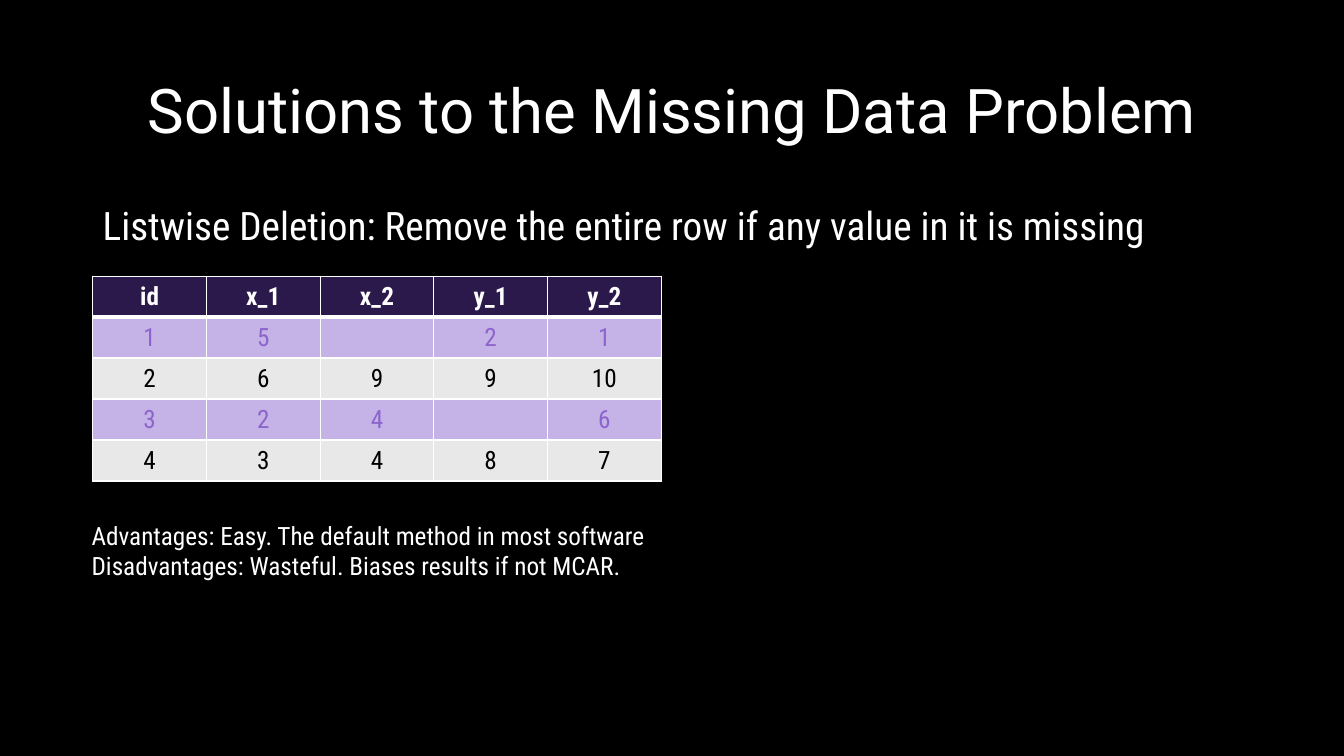
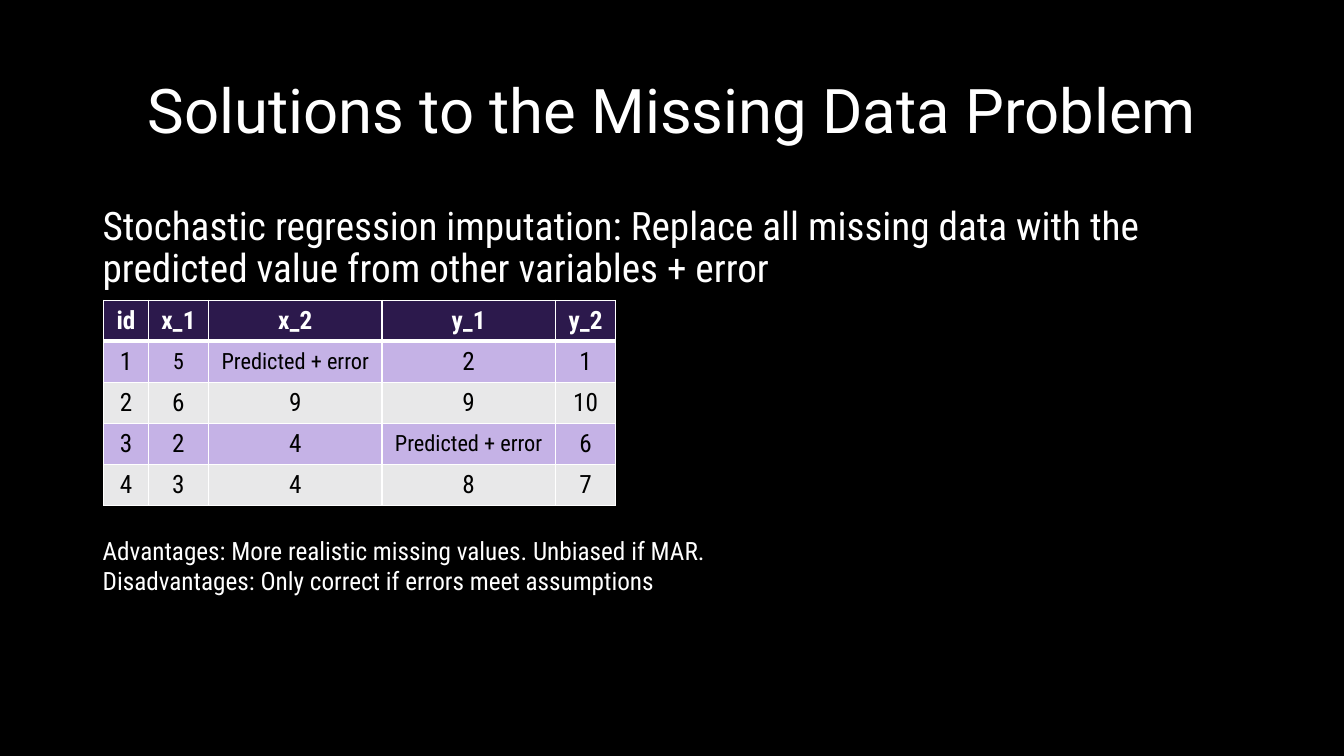
from lxml.etree import SubElement
from pptx import Presentation
from pptx.dml.color import RGBColor
from pptx.enum.text import MSO_ANCHOR, PP_ALIGN
from pptx.oxml.ns import qn
from pptx.util import Inches, Pt

HUES = {"back": "000000", "white": "FFFFFF", "head": "2C194C",
        "odd": "C5B2E6", "even": "E8E8E9", "ink": "000000", "dim": "8C65CC"}
HEAD_FONT, BODY_FONT = "Roboto", "Roboto Condensed"
WIDE, HIGH = Inches(13.33), Inches(7.5)

# Boxes are left, top, width, height in percent of the slide
TITLE = "Solutions to the Missing Data Problem"
TITLE_BOX = (6.9, 5.33, 86.27, 19.33)
LEAD_BOX = (6.9, 26.67, 86.27, 63.47)
ROW = 5.42
NAMES = ["id", "x_1", "x_2", "y_1", "y_2"]


def hue(name):
    return RGBColor.from_string(HUES[name])


def across(share):
    return round(WIDE * share / 100)


def down(share):
    return round(HIGH * share / 100)


def place(box):
    left, top, width, height = box
    return across(left), down(top), across(width), down(height)


def style(para, size, color="white", font=BODY_FONT, bold=False):
    for run in para.runs:
        run.font.name, run.font.size, run.font.bold = font, Pt(size), bold
        run.font.color.rgb = hue(color)


def add_text(slide, box, text, size, font=BODY_FONT, align=PP_ALIGN.LEFT,
             anchor=MSO_ANCHOR.TOP, pitch=1.0):
    frame = slide.shapes.add_textbox(*place(box)).text_frame
    frame.word_wrap = True
    frame.vertical_anchor = anchor
    frame.text = text
    for para in frame.paragraphs:
        para.alignment, para.line_spacing = align, pitch
        style(para, size, font=font)


def add_edge(cell, side, width):
    line = SubElement(cell._tc.get_or_add_tcPr(), qn("a:ln" + side),
                      w=str(Pt(width)))
    fill = SubElement(line, qn("a:solidFill"))
    SubElement(fill, qn("a:srgbClr"), val=HUES["white"])


def fill_cell(cell, row, text, color, size):
    # Borders go in ahead of the fill; a thick rule parts head and data
    thick = {(0, "B"), (1, "T")}
    for side in "LRTB":
        add_edge(cell, side, 3 if (row, side) in thick else 1)
    cell.fill.solid()
    cell.fill.fore_color.rgb = hue("head" if row == 0 else
                                   "odd" if row % 2 else "even")
    cell.vertical_anchor = MSO_ANCHOR.MIDDLE
    cell.text = text
    para = cell.text_frame.paragraphs[0]
    para.alignment = PP_ALIGN.CENTER
    style(para, size, color, bold=row == 0)


def add_grid(slide, spot, cols, data, small=()):
    rows = [NAMES] + data
    box = (*spot, sum(cols), ROW * len(rows))
    table = slide.shapes.add_table(len(rows), len(cols), *place(box)).table
    for col, width in zip(table.columns, cols):
        col.width = across(width)
    for r, values in enumerate(rows):
        table.rows[r].height = down(ROW)
        # Rows with a gap are dimmed
        color = "white" if r == 0 else "ink" if all(values) else "dim"
        for c, text in enumerate(values):
            size = 16 if (r, c) in small else 18
            fill_cell(table.cell(r, c), r, text, color, size)


def add_page(deck, lead, grid, note_box, notes):
    slide = deck.slides.add_slide(deck.slide_layouts[6])
    add_text(slide, TITLE_BOX, TITLE, 44, HEAD_FONT, PP_ALIGN.CENTER,
             MSO_ANCHOR.MIDDLE, 0.9)
    add_text(slide, LEAD_BOX, lead, 28, pitch=0.9)
    add_grid(slide, **grid)
    add_text(slide, note_box, "\n".join(notes), 18)


def get_data(gap):
    return [["1", "5", gap, "2", "1"],
            ["2", "6", "9", "9", "10"],
            ["3", "2", "4", gap, "6"],
            ["4", "3", "4", "8", "7"]]


def main():
    deck = Presentation()
    deck.slide_width, deck.slide_height = WIDE, HIGH
    back = deck.slide_master.background.fill
    back.solid()
    back.fore_color.rgb = hue("back")

    # Listwise deletion
    add_page(
        deck,
        "Listwise Deletion: Remove the entire row if any value in it is missing",
        {"spot": (6.9, 36.53), "cols": [8.46] * 5, "data": get_data("")},
        (6.08, 68.13, 46.8, 9.47),
        ["Advantages: Easy. The default method in most software",
         "Disadvantages: Wasteful. Biases results if not MCAR."])

    # Stochastic regression imputation
    add_page(
        deck,
        "Stochastic regression imputation: Replace all missing data with the "
        "predicted value from other variables + error",
        {"spot": (7.73, 39.73), "cols": [3.3, 4.5, 12.9, 12.9, 4.5],
         "data": get_data("Predicted + error"),
         "small": {(1, 1), (1, 2), (3, 3)}},
        (6.9, 70.13, 65.5, 9.47),
        ["Advantages: More realistic missing values. Unbiased if MAR.",
         "Disadvantages: Only correct if errors meet assumptions"])

    deck.save("out.pptx")


if __name__ == "__main__":
    main()
